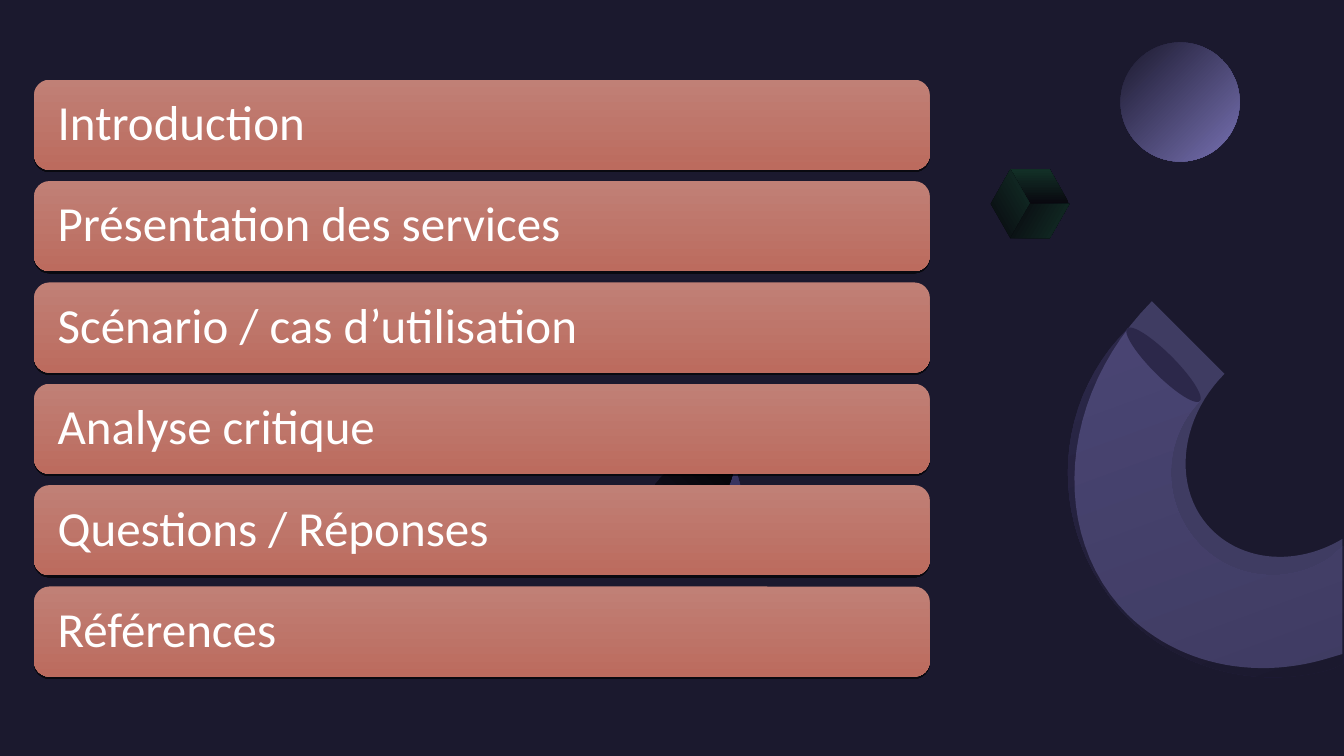
import lxml.etree
import pptx
import pptx.dml.color
import pptx.enum.shapes
import pptx.enum.text
import pptx.oxml.ns
import pptx.util

Cm = pptx.util.Cm
RGB = pptx.dml.color.RGBColor
SHAPES = pptx.enum.shapes.MSO_SHAPE

NIGHT = RGB(0x1B, 0x19, 0x2E)
INK = RGB(0x17, 0x15, 0x27)
BLACK = RGB(0x00, 0x00, 0x00)
WHITE = RGB(0xFF, 0xFF, 0xFF)
INDIGO = RGB(0x2C, 0x28, 0x4A)
VIOLET = RGB(0x3C, 0x38, 0x67)
LAVENDER = RGB(0x77, 0x71, 0xB2)
CUBE_DARK = RGB(0x09, 0x08, 0x0F)
CUBE_GREEN = RGB(0x12, 0x30, 0x27)
ROSE = RGB(0xC0, 0x80, 0x76)
BRICK = RGB(0xBC, 0x6B, 0x5E)

AGENDA = [
    "Introduction",
    "Présentation des services",
    "Scénario / cas d’utilisation",
    "Analyse critique",
    "Questions / Réponses",
    "Références",
]

# Outlines in cm from the ring's corner: a pair is a line, six numbers a curve.
RING_SHADE = [
    (1.5, 0.69),
    (-0.51, 2.69, -0.51, 5.94, 1.5, 7.98),
    (2.9, 9.35, 4.88, 9.78, 6.63, 9.27),
    (6.93, 9.14),
    (6.93, 6.17),
    (6.58, 6.48),
    (5.56, 7.14, 4.22, 7.04, 3.33, 6.15),
    (2.34, 5.13, 2.34, 3.51, 3.33, 2.51),
]
RING_TUBE = [
    (2.11, 0),
    (-0.23, 2.36, -0.51, 5.89, 1.5, 7.9),
    (2.77, 9.14, 4.62, 9.53, 6.4, 9.04),
    (6.91, 8.89),
    (6.91, 5.99),
    (6.86, 6.02),
    (5.77, 6.65, 4.45, 6.58, 3.63, 5.77),
    (2.62, 4.78, 2.77, 3, 3.94, 1.83),
]
CURVE_STEPS = 24


def paint(shape, color):
    shape.shadow.inherit = False
    shape.line.fill.background()
    shape.fill.solid()
    shape.fill.fore_color.rgb = color


def paint_gradient(shape, first, last, clockwise):
    shape.shadow.inherit = False
    shape.line.fill.background()
    shape.fill.gradient()
    shape.fill.gradient_angle = -clockwise % 360
    for stop, color, position in zip(shape.fill.gradient_stops, (first, last), (0, 1)):
        stop.color.rgb = color
        stop.position = position


def add_child(parent, tag, **attributes):
    return lxml.etree.SubElement(parent, pptx.oxml.ns.qn(tag), attributes)


def trace(outline):
    """Turn lines and cubic curves into a list of points."""
    points = [outline[0]]
    for step in outline[1:]:
        if len(step) == 2:
            points.append(step)
            continue
        controls = [points[-1], step[:2], step[2:4], step[4:]]
        for i in range(1, CURVE_STEPS + 1):
            t = i / CURVE_STEPS
            weights = ((1 - t) ** 3, 3 * t * (1 - t) ** 2, 3 * t * t * (1 - t), t ** 3)
            points.append(tuple(
                sum(w * control[axis] for w, control in zip(weights, controls))
                for axis in (0, 1)))
    return points


def add_outline(slide, left, top, outline):
    points = [(Cm(left + x), Cm(top + y)) for x, y in trace(outline)]
    builder = slide.shapes.build_freeform(*points[0])
    builder.add_line_segments(points[1:], close=True)
    return builder.convert_to_shape()


def add_oval(slide, center_x, center_y, width, height, rotation=0):
    oval = slide.shapes.add_shape(
        SHAPES.OVAL, Cm(center_x - width / 2), Cm(center_y - height / 2),
        Cm(width), Cm(height))
    oval.rotation = rotation
    return oval


def draw_cube(slide, left, top, width, height):
    middle = height / 2
    upper_left, upper_right = (width / 4, 0), (width * 3 / 4, 0)
    lower_left, lower_right = (width / 4, height), (width * 3 / 4, height)
    west, east, center = (0, middle), (width, middle), (width / 2, middle)
    faces = [
        ([upper_left, upper_right, east, center], 270),
        ([upper_left, center, lower_left, west], 330),
        ([center, east, lower_right, lower_left], 30),
    ]
    for corners, angle in faces:
        face = add_outline(slide, left, top, corners)
        paint_gradient(face, CUBE_DARK, CUBE_GREEN, angle)


def draw_sphere(slide, left, top, diameter):
    radius = diameter / 2
    sphere = add_oval(slide, left + radius, top + radius, diameter, diameter)
    paint_gradient(sphere, NIGHT, LAVENDER, 45)


def draw_ring(slide, left, top):
    shade = add_outline(slide, left, top, RING_SHADE)
    paint_gradient(shade, INDIGO, NIGHT, 70)
    tube = add_outline(slide, left, top, RING_TUBE)
    paint(tube, LAVENDER)
    tint = tube.fill._xPr.find(".//" + pptx.oxml.ns.qn("a:srgbClr"))
    add_child(tint, "a:alpha", val="40000")
    paint(add_oval(slide, left + 2.4, top + 1.6, 0.58, 2.59, 135), INDIGO)


def draw_cone(slide, left, top):
    side = [(3.15, 3.15), (0.3, 2.36), (2.26, 0.2), (2.36, 0.3)]
    paint_gradient(add_outline(slide, left, top, side), INDIGO, VIOLET, 325)
    base = add_oval(slide, left + 1.2, top + 1.22, 1.5, 3, 225)
    paint_gradient(base, INK, BLACK, 90)


def add_bar_shadow(bar):
    effects = bar._element.spPr.find(pptx.oxml.ns.qn("a:effectLst"))
    shadow = add_child(effects, "a:outerShdw", blurRad="0",
                       dist=str(pptx.util.Pt(1.5)), dir="5400000", rotWithShape="0")
    color = add_child(shadow, "a:srgbClr", val=str(BLACK))
    add_child(color, "a:alpha", val="63000")


def draw_agenda(slide, left, top, width, height):
    bar_height = 2.27
    pitch = (height - bar_height) / (len(AGENDA) - 1)
    for row, topic in enumerate(AGENDA):
        bar = slide.shapes.add_shape(
            SHAPES.ROUNDED_RECTANGLE, Cm(left), Cm(top + row * pitch),
            Cm(width), Cm(bar_height))
        bar.adjustments[0] = 0.17
        paint_gradient(bar, ROSE, BRICK, 90)
        add_bar_shadow(bar)
        frame = bar.text_frame
        frame.word_wrap = True
        frame.vertical_anchor = pptx.enum.text.MSO_ANCHOR.MIDDLE
        frame.margin_left = frame.margin_right = Cm(0.48)
        frame.margin_top = frame.margin_bottom = Cm(0.48)
        frame.text = topic
        paragraph = frame.paragraphs[0]
        paragraph.alignment = pptx.enum.text.PP_ALIGN.LEFT
        paragraph.line_spacing = 0.9
        font = paragraph.runs[0].font
        font.name = "Calibri"
        font.size = pptx.util.Pt(35)
        font.color.rgb = WHITE


def main():
    deck = pptx.Presentation()
    deck.slide_width, deck.slide_height = Cm(33.87), Cm(19.05)
    slide = deck.slides.add_slide(deck.slide_layouts.get_by_name("Blank"))
    slide.background.fill.solid()
    slide.background.fill.fore_color.rgb = NIGHT
    draw_cube(slide, 24.97, 4.27, 1.98, 1.73)
    draw_sphere(slide, 28.24, 1.07, 3)
    draw_ring(slide, 26.92, 7.59)
    draw_cone(slide, 16.1, 11.23)
    draw_agenda(slide, 0.86, 2.01, 22.57, 15.04)
    deck.save("out.pptx")


if __name__ == "__main__":
    main()
